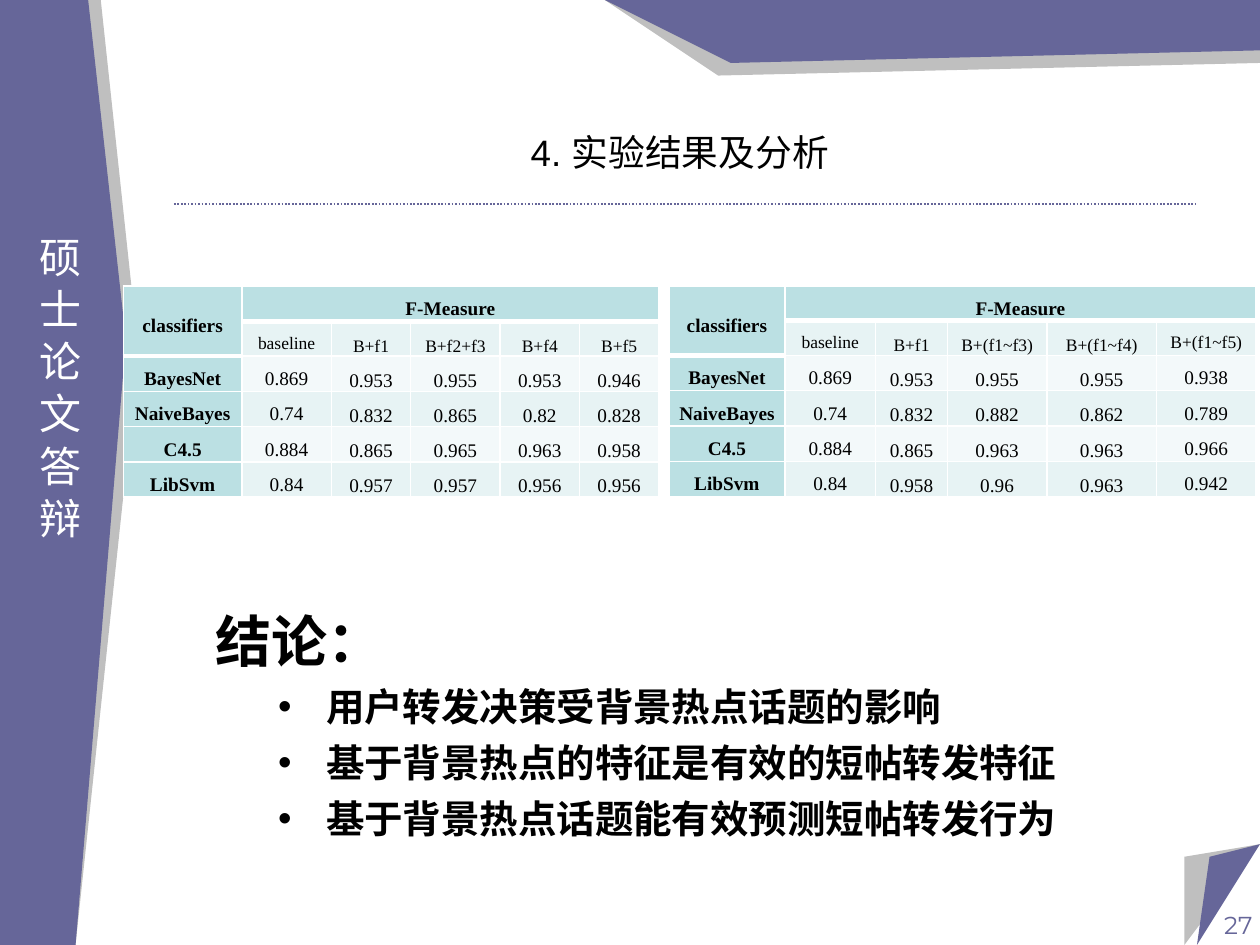
from lxml import etree
from pptx import Presentation, util as u
from pptx.dml.color import RGBColor
from pptx.enum import dml, shapes, text
from pptx.oxml import ns

COLORS = {
    "violet": "666699", "grey": "808080", "white": "FFFFFF", "black": "000000",
    "header": "BBE0E3", "dark_band": "E7F3F4", "light_band": "F3F9FA",
}
CELL = u.Inches(0.1)  # the slide is a grid of 100 columns by 75 rows
SERIF, SANS, CHINESE = "Times New Roman", "Arial", "Noto Sans CJK SC"
MIDDLE, BOTTOM = text.MSO_ANCHOR.MIDDLE, text.MSO_ANCHOR.BOTTOM
CENTER, RIGHT = text.PP_ALIGN.CENTER, text.PP_ALIGN.RIGHT


def grid(*values):
    return [u.Emu(round(value * CELL)) for value in values]


def add_xml(parent, tag, **attributes):
    child = etree.SubElement(parent, ns.qn(tag))
    for name, value in attributes.items():
        child.set(name, str(value))
    return child


class SlideBuilder:
    def __init__(self, deck):
        self.slide = deck.slides.add_slide(deck.slide_layouts[6])
        self.shapes = self.slide.shapes

    def color(self, name):
        return RGBColor.from_string(COLORS[name])

    def polygon(self, points, color, alpha=None):
        outline = self.shapes.build_freeform(*points[0], scale=CELL)
        outline.add_line_segments(points[1:], close=True)
        shape = outline.convert_to_shape()
        shape.shadow.inherit = False
        shape.line.fill.background()
        shape.fill.solid()
        shape.fill.fore_color.rgb = self.color(color)
        if alpha:
            solid = shape.fill._xPr.find(ns.qn("a:solidFill"))
            add_xml(solid[0], "a:alpha", val=alpha * 1000)

    def dotted_rule(self, left, right, row):
        rule = self.shapes.add_connector(
            shapes.MSO_CONNECTOR.STRAIGHT, *grid(left, row, right, row))
        rule.line.color.rgb = self.color("violet")
        rule.line.width = u.Pt(1)
        rule.line.dash_style = dml.MSO_LINE.ROUND_DOT
        add_xml(rule._element.spPr, "a:effectLst")

    def span(self, para, words, size, font, color="black", bold=False):
        span = para.add_run()
        span.text = words
        span.font.size = u.Pt(size)
        span.font.name = font
        span.font.bold = bold
        span.font.color.rgb = self.color(color)
        add_xml(span._r.get_or_add_rPr(), "a:ea", typeface=CHINESE)

    def text_box(self, area, words, size, font, color="black", bold=False,
                 align=None, anchor=None, spacing=None):
        frame = self.shapes.add_textbox(*grid(*area)).text_frame
        frame.word_wrap = True
        frame.vertical_anchor = anchor
        para = frame.paragraphs[0]
        para.alignment = align
        para.line_spacing = spacing
        self.span(para, words, size, font, color, bold)
        return frame

    def vertical_text(self, area, words, size, font, color):
        frame = self.text_box(area, words, size, font, color)
        frame._txBody.bodyPr.set("vert", "eaVert")

    def bullet(self, frame, words, size):
        para = frame.add_paragraph()
        para.line_spacing = u.Pt(32)
        properties = para._p.get_or_add_pPr()
        properties.set("marL", str(u.Inches(0.88)))
        properties.set("indent", str(u.Inches(-0.38)))
        add_xml(properties, "a:buFont", typeface=SANS)
        add_xml(properties, "a:buChar", char="•")
        self.span(para, words, size, CHINESE, bold=True)

    def borders(self, cell, bottom):
        """Draw the cell's edges; call before the fill, which follows them in XML."""
        properties = cell._tc.get_or_add_tcPr()
        for edge, width in (("L", 1), ("R", 1), ("T", 1), ("B", bottom)):
            line = add_xml(properties, f"a:ln{edge}", w=u.Pt(width))
            solid = add_xml(line, "a:solidFill")
            add_xml(solid, "a:srgbClr", val=COLORS["white"])

    def score_table(self, area, columns, rows, features, scores, middle_columns):
        labels = [["classifiers", "F-Measure"], ["", *features],
                  *([name, *values] for name, values in scores.items())]
        table = self.shapes.add_table(len(rows), len(columns), *grid(*area)).table
        for column, width in zip(table.columns, grid(*columns)):
            column.width = width
        for row, height in zip(table.rows, grid(*rows)):
            row.height = height
        table.cell(0, 0).merge(table.cell(1, 0))
        table.cell(0, 1).merge(table.cell(0, len(columns) - 1))
        for r in range(len(rows)):
            for c in range(len(columns)):
                cell = table.cell(r, c)
                heading = r == 0 or c == 0
                self.borders(cell, 3 if r == 0 or (r, c) == (1, 0) else 1)
                band = "dark_band" if r % 2 else "light_band"
                cell.fill.solid()
                cell.fill.fore_color.rgb = self.color("header" if heading else band)
                cell.margin_left = cell.margin_right = u.Inches(0.07)
                cell.margin_top = cell.margin_bottom = 0
                cell.vertical_anchor = (
                    MIDDLE if heading or c in middle_columns else BOTTOM)
                if cell.is_spanned:
                    continue
                para = cell.text_frame.paragraphs[0]
                para.alignment = CENTER
                para.line_spacing = 1.5
                size = 10 if r == 1 else 11
                self.span(para, labels[r][c], size, SERIF, bold=heading)


def main():
    deck = Presentation()
    deck.slide_width, deck.slide_height = grid(100, 75)
    page = SlideBuilder(deck)

    page.polygon([(47.6, -0.2), (56.7, 6), (100.4, 4.7), (100.3, -0.3)], "grey", 50)
    page.polygon([(47.6, 0), (58.3, 4.7), (99.9, 3.8), (100, 0)], "violet")
    page.polygon([(-0.4, 75), (6, 75), (11.4, 27.8), (7.7, -0.1), (-0.4, -0.1)],
                 "grey", 50)
    page.polygon([(7.4, -0.1), (9.8, 26.8), (5.7, 75), (-0.4, 75), (-0.3, -0.1)],
                 "violet")
    page.vertical_text((1.2, 17.8, 6, 41), "硕 士 论 文 答 辩", 24, SANS, "white")
    page.polygon([(94.5, 75.4), (94.1, 68.1), (100.3, 66.6)], "grey", 50)
    page.polygon([(100.1, 66.6), (94.9, 75), (95.5, 68.3)], "violet")
    page.dotted_rule(13.8, 94.9, 16.2)
    page.text_box((77.1, 71.7, 23.3, 5.2), "27", 14, "Montserrat", "violet",
                  align=RIGHT)
    page.text_box((13, 8.4, 81.9, 7.8), "4. 实验结果及分析", 21, SANS,
                  align=CENTER, anchor=MIDDLE, spacing=0.9)

    page.score_table(
        (53.1, 22.7, 46.5, 16.4), [9.2, 7.2, 5.7, 7.9, 8.7, 7.9],
        [2.6, 2.6] + [2.8] * 4,
        ["baseline", "B+f1", "B+(f1~f3)", "B+(f1~f4)", "B+(f1~f5)"],
        {
            "BayesNet": ["0.869", "0.953", "0.955", "0.955", "0.938"],
            "NaiveBayes": ["0.74", "0.832", "0.882", "0.862", "0.789"],
            "C4.5": ["0.884", "0.865", "0.963", "0.963", "0.966"],
            "LibSvm": ["0.84", "0.958", "0.96", "0.963", "0.942"],
        }, middle_columns=(1, 5))

    conclusion = page.text_box((16.1, 48.5, 69.5, 19), "结论：", 32, CHINESE,
                               bold=True, spacing=u.Pt(32))
    for finding in ("用户转发决策受背景热点话题的影响",
                    "基于背景热点的特征是有效的短帖转发特征",
                    "基于背景热点话题能有效预测短帖转发行为"):
        page.bullet(conclusion, finding, 22)

    page.score_table(
        (9.8, 22.7, 42.5, 16.4), [9.4, 7.1, 6.3, 7.1, 6.3, 6.3],
        [2.8, 2.5] + [2.8] * 4,
        ["baseline", "B+f1", "B+f2+f3", "B+f4", "B+f5"],
        {
            "BayesNet": ["0.869", "0.953", "0.955", "0.953", "0.946"],
            "NaiveBayes": ["0.74", "0.832", "0.865", "0.82", "0.828"],
            "C4.5": ["0.884", "0.865", "0.965", "0.963", "0.958"],
            "LibSvm": ["0.84", "0.957", "0.957", "0.956", "0.956"],
        }, middle_columns=(1,))

    deck.save("out.pptx")


if __name__ == "__main__":
    main()
